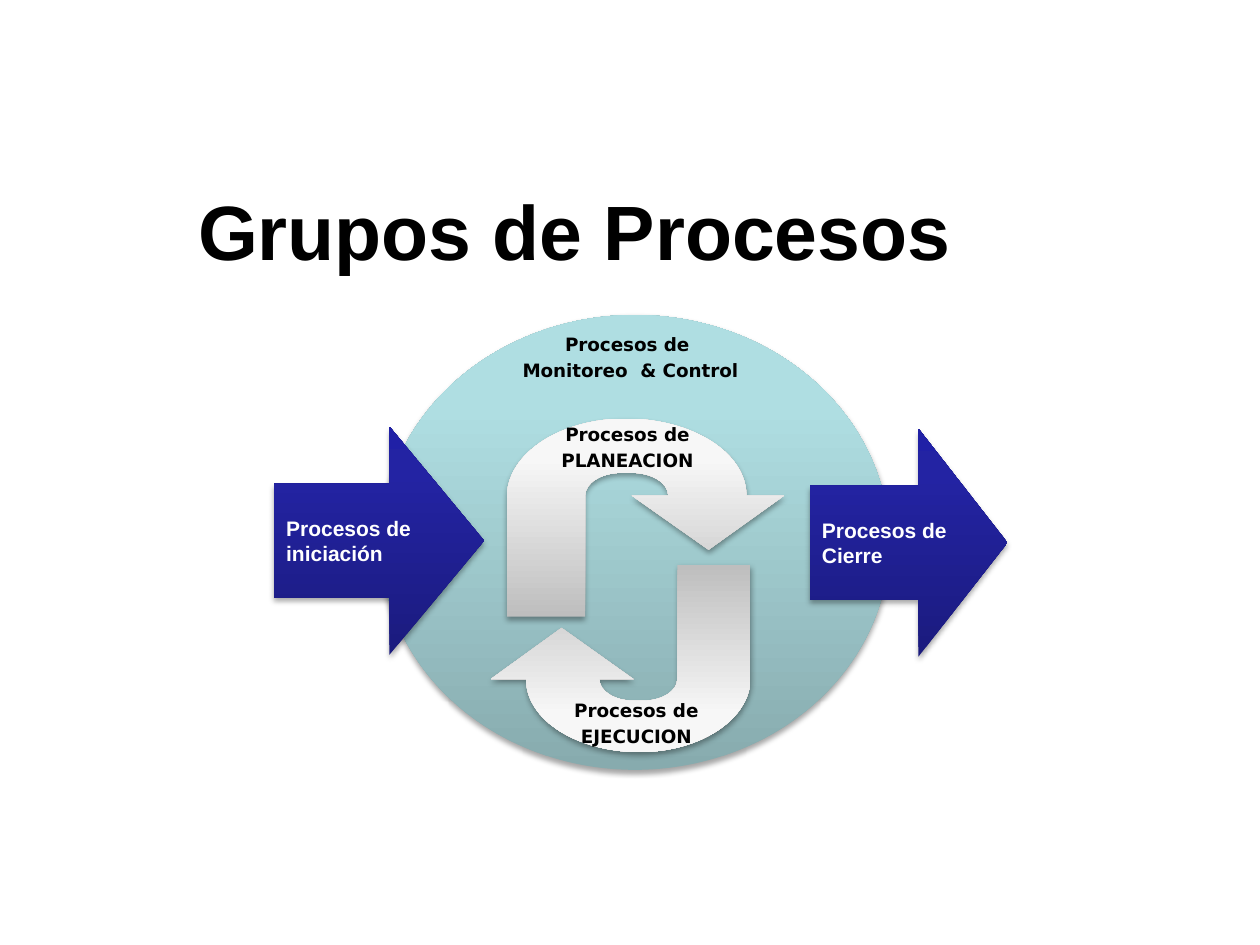
from copy import deepcopy

from lxml import etree
from pptx import Presentation, util as u
from pptx.dml.color import RGBColor
from pptx.enum import shapes, text
from pptx.oxml.ns import qn

TEAL = ("87ABAE", "AFDEE2", "AFE0E4")
NAVY = ("1B1B7E", "2323A3", "2020A6")
SILVER = ("BEBEBE", "F7F7F7", "F8F8F8")
STOPS = (0, 0.8, 1)

# U-turn arrow on a grid: each segment lists its end, after any Bezier controls.
GRID_WIDTH, GRID_HEIGHT = 2200, 1570
U_TURN_START = (1600, 1040)
U_TURN = [
    [(2200, 610)],
    [(1900, 610)],
    [(1900, 270), (1470, 0), (940, 0)],
    [(420, 0), (0, 280), (0, 620)],
    [(0, 1570)],
    [(620, 1570)],
    [(620, 610)],
    [(620, 510), (750, 430), (910, 430)],
    [(990, 430)],
    [(1150, 430), (1280, 510), (1280, 610)],
    [(990, 610)],
]


def color(value):
    return RGBColor.from_string(value)


def box(left, top, width, height):
    return u.Cm(left), u.Cm(top), u.Cm(width), u.Cm(height)


def style_font(paragraph, name, size, value):
    font = paragraph.font
    font.name, font.size, font.bold = name, u.Pt(size), True
    font.color.rgb = color(value)


def finish(shape, palette):
    """Give a shape its bottom-to-top gradient and soft shadow, without outline."""
    shape.line.fill.background()
    shape.fill.gradient()
    shape.fill.gradient_angle = 90
    properties = shape.element.spPr
    stop_list = properties.find(qn("a:gradFill")).find(qn("a:gsLst"))
    stop_list.append(deepcopy(stop_list[-1]))
    for stop, position, value in zip(shape.fill.gradient_stops, STOPS, palette):
        stop.position = position
        stop.color.rgb = color(value)

    shape.shadow.inherit = False
    shadow = etree.SubElement(
        properties.find(qn("a:effectLst")), qn("a:outerShdw"),
        blurRad="40000", dist="23000", dir="5400000", rotWithShape="0")
    shade = etree.SubElement(shadow, qn("a:srgbClr"), val="000000")
    etree.SubElement(shade, qn("a:alpha"), val="35000")


def add_title(slide, wording):
    title = slide.shapes.title
    title.left, title.top, title.width, title.height = box(3.64, 3.67, 15.9, 1.93)
    title.text_frame.text = wording
    title.text_frame.vertical_anchor = text.MSO_ANCHOR.MIDDLE
    paragraph = title.text_frame.paragraphs[0]
    paragraph.alignment = text.PP_ALIGN.CENTER
    style_font(paragraph, "Arial", 44, "000000")


def add_control_ellipse(slide):
    ellipse = slide.shapes.add_shape(
        shapes.MSO_SHAPE.OVAL, *box(7.67, 6.35, 10.26, 9.17))
    finish(ellipse, TEAL)


def add_phase_arrow(slide, wording, left, top, width):
    arrow = slide.shapes.add_shape(
        shapes.MSO_SHAPE.RIGHT_ARROW, *box(left, top, width, 4.6))
    arrow.adjustments[0], arrow.adjustments[1] = 0.5, 0.45
    finish(arrow, NAVY)
    frame = arrow.text_frame
    frame.text = wording
    frame.word_wrap = True
    frame.vertical_anchor = text.MSO_ANCHOR.MIDDLE
    frame.paragraphs[0].alignment = text.PP_ALIGN.LEFT
    style_font(frame.paragraphs[0], "Arial", 12, "FFFFFF")


def curve_segments(shape, segments):
    """Turn the straight segments that have control points into Bezier curves."""
    lines = list(shape.element.spPr.iter(qn("a:lnTo")))
    for line, points in zip(lines, segments):
        if len(points) == 3:
            curve = etree.Element(qn("a:cubicBezTo"))
            for x, y in points:
                etree.SubElement(curve, qn("a:pt"), x=str(x), y=str(y))
            line.getparent().replace(line, curve)


def add_u_turn(slide, left, top, width, height, rotation=0):
    scale = u.Cm(width) / GRID_WIDTH, u.Cm(height) / GRID_HEIGHT
    builder = slide.shapes.build_freeform(*U_TURN_START, scale=scale)
    builder.add_line_segments([points[-1] for points in U_TURN], close=True)
    arrow = builder.convert_to_shape(u.Cm(left), u.Cm(top))
    curve_segments(arrow, U_TURN)
    arrow.rotation = rotation
    finish(arrow, SILVER)


def add_process_label(slide, lines, left, top, width):
    frame = slide.shapes.add_textbox(*box(left, top, width, 1.24)).text_frame
    frame.word_wrap = True
    frame.text = "\n".join(lines)
    for paragraph in frame.paragraphs:
        paragraph.alignment = text.PP_ALIGN.CENTER
        paragraph.space_before = u.Pt(2.1)
        style_font(paragraph, "DejaVu Sans", 10.5, "000000")


def main():
    presentation = Presentation()
    presentation.slide_width, presentation.slide_height = u.Cm(25.4), u.Cm(19.05)
    slide = presentation.slides.add_slide(presentation.slide_layouts[5])

    add_title(slide, "Grupos de Procesos")
    add_control_ellipse(slide)
    add_phase_arrow(slide, "Procesos de iniciación", 5.52, 8.6, 4.24)
    add_u_turn(slide, 10.22, 8.44, 5.59, 3.99)
    add_u_turn(slide, 9.89, 11.38, 5.24, 3.78, rotation=180)
    add_process_label(slide, ["Procesos de ", "Monitoreo  & Control"], 10.26, 6.6, 4.9)
    add_process_label(slide, ["Procesos de", "PLANEACION"], 10.26, 8.41, 4.78)
    add_process_label(slide, ["Procesos de", "EJECUCION"], 10.57, 13.97, 4.52)
    add_phase_arrow(slide, "Procesos de Cierre", 16.32, 8.64, 3.99)

    presentation.save("out.pptx")


if __name__ == "__main__":
    main()
